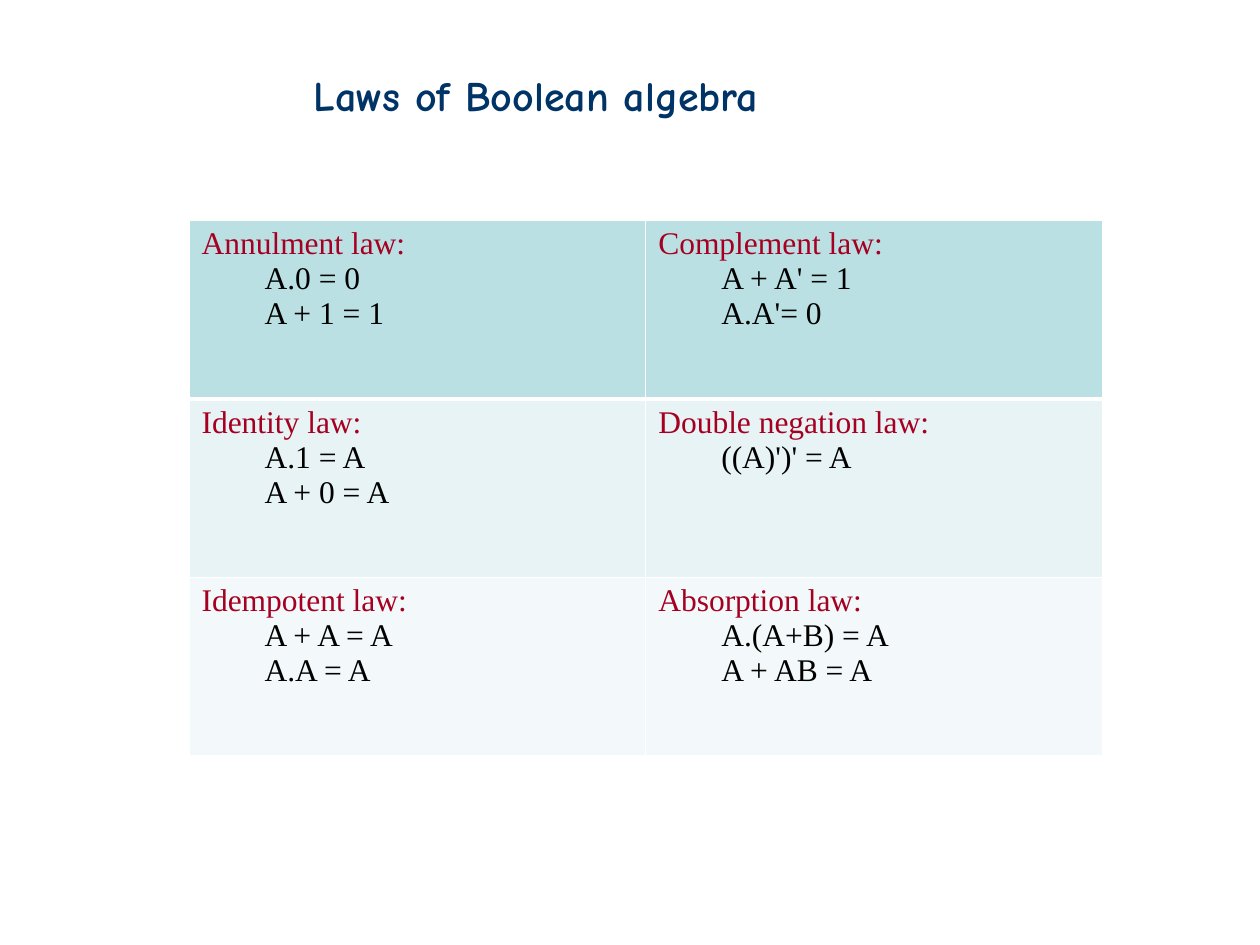
from lxml import etree
from pptx import Presentation
from pptx.dml.color import RGBColor
from pptx.enum.text import MSO_AUTO_SIZE, PP_ALIGN
from pptx.oxml.ns import qn
from pptx.util import Inches, Pt

JUSTIFY = PP_ALIGN.JUSTIFY
FIT_SHAPE = MSO_AUTO_SIZE.SHAPE_TO_FIT_TEXT
THEME = {
    "title_font": "Comic Neue", "title_size": 24, "title": "003366",
    "body_font": "Times New Roman", "body_size": 18,
    "law": "A50021", "formula": "000000", "border": "FFFFFF",
    "rows": ["BBE0E3", "E7F3F4", "F3F9FA"],
}
LAWS = [
    [("Annulment law:", "A.0 = 0", "A + 1 = 1"),
     ("Complement law:", "A + A' = 1", "A.A'= 0")],
    [("Identity law:", "A.1 = A", "A + 0 = A"),
     ("Double negation law:", "((A)')' = A")],
    [("Idempotent law:", "A + A = A", "A.A = A"),
     ("Absorption law:", "A.(A+B) = A", "A + AB = A")],
]


def style_text(para, font, size, color, bold=False):
    """Format every run of a paragraph."""
    for span in para.runs:
        span.font.name = font
        span.font.size = Pt(size)
        span.font.bold = bold
        span.font.color.rgb = RGBColor.from_string(color)


def add_border(cell, side, points):
    """Draw one solid edge of a table cell."""
    properties = cell._tc.get_or_add_tcPr()
    line = etree.SubElement(properties, qn("a:ln" + side), w=str(Pt(points)))
    fill = etree.SubElement(line, qn("a:solidFill"))
    etree.SubElement(fill, qn("a:srgbClr"), val=THEME["border"])


deck = Presentation()
deck.slide_width, deck.slide_height = Inches(10), Inches(7.5)
page = deck.slides.add_slide(deck.slide_layouts[6])

title_box = page.shapes.add_textbox(Inches(2.39), Inches(0.5), Inches(4.16), Inches(0.5))
title_frame = title_box.text_frame
title_frame.text = "Laws of Boolean algebra"
title_frame.word_wrap = False
title_frame.auto_size = FIT_SHAPE
style_text(title_frame.paragraphs[0], THEME["title_font"], THEME["title_size"],
           THEME["title"], bold=True)

law_table = page.shapes.add_table(
    len(LAWS), len(LAWS[0]), Inches(1.5), Inches(1.75), Inches(7.25), Inches(4.25)).table

for row, laws in enumerate(LAWS):
    for column, lines in enumerate(laws):
        cell = law_table.cell(row, column)
        # The edge under the first row is heavier and shared by both rows.
        widths = {"L": 1, "R": 1, "T": 3 if row == 1 else 1, "B": 3 if row == 0 else 1}
        for side, points in widths.items():
            add_border(cell, side, points)
        cell.fill.solid()
        cell.fill.fore_color.rgb = RGBColor.from_string(THEME["rows"][row])
        cell.text_frame.text = "\n".join(lines)
        for index, para in enumerate(cell.text_frame.paragraphs):
            para.alignment = JUSTIFY
            if index:
                para.level = 1
                indent = para._p.get_or_add_pPr()
                indent.set("marL", str(Inches(0.5)))
                indent.set("indent", "0")
            style_text(para, THEME["body_font"], THEME["body_size"],
                       THEME["formula"] if index else THEME["law"])

deck.save("out.pptx")
